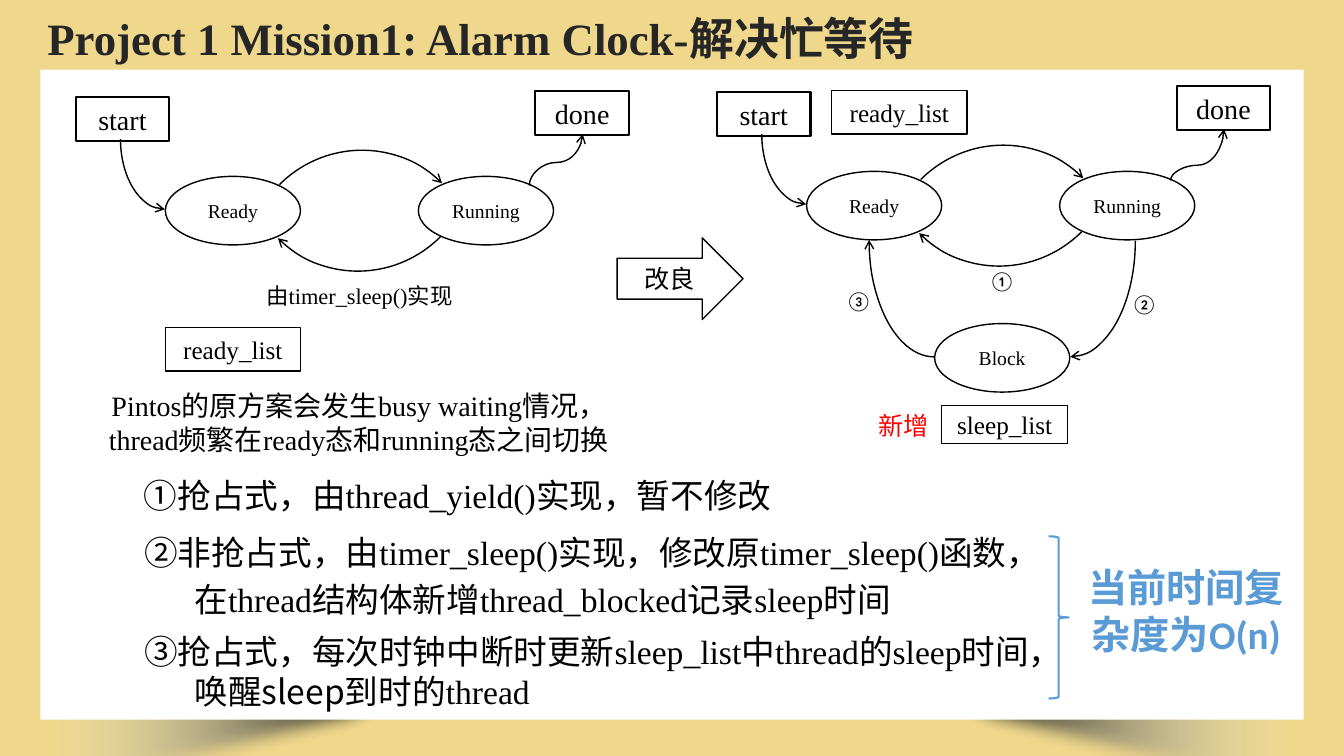
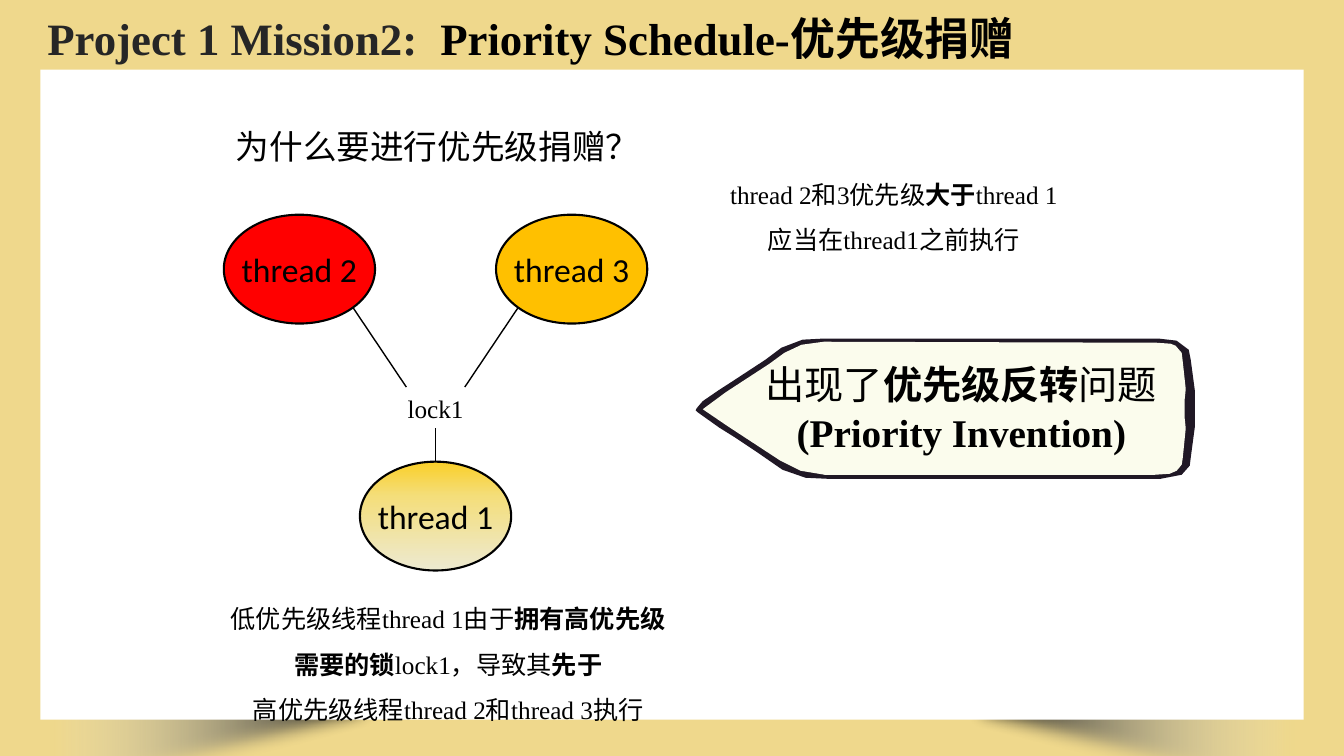
from lxml.etree import SubElement
from pptx import Presentation
from pptx.dml.color import RGBColor
from pptx.enum.shapes import MSO_CONNECTOR as Connector, MSO_SHAPE as Preset
from pptx.enum.text import MSO_ANCHOR as Anchor, MSO_AUTO_SIZE as AutoSize, PP_ALIGN as Align
from pptx.oxml.ns import qn
from pptx.util import Inches, Pt

COLORS = {
    "sand": "EFD88C", "white": "FFFFFF", "black": "000000", "mist": "E3E8EB",
    "title": "262626", "blue": "5B9BD5", "red": "FF0000", "amber": "FFC000",
    "ivory": "EDE9CE", "straw": "F4DE7B", "gold": "FACF28",
    "cream": "FBFCED", "ink": "201825",
}
LATIN, CJK = "Times New Roman", "Noto Sans CJK SC"
BOLD = {"bold": True}


def rgb(name):
    return RGBColor.from_string(COLORS[name])


def add_box(slide, preset, box, lines=(), size=18, color="black", font=LATIN, bold=False,
            align=Align.CENTER, spacing=None, fill=None, line=None, line_width=1):
    """Add a preset shape, or a text box if preset is None.

    Each line is a list of runs: a string, or a string with its font settings.
    """
    box = [Inches(length) for length in box]
    if preset is None:
        shape = slide.shapes.add_textbox(*box)
    else:
        shape = slide.shapes.add_shape(preset, *box)
        shape.shadow.inherit = False
        if fill:
            shape.fill.solid()
            shape.fill.fore_color.rgb = rgb(fill)
        else:
            shape.fill.background()
        if line:
            shape.line.color.rgb = rgb(line)
            shape.line.width = Pt(line_width)
        else:
            shape.line.fill.background()
    frame = shape.text_frame
    frame.word_wrap = True
    for index, runs in enumerate(lines):
        paragraph = frame.add_paragraph() if index else frame.paragraphs[0]
        paragraph.alignment = align
        if spacing:
            paragraph.line_spacing = spacing
        paragraph.font.size = Pt(size)
        paragraph.font.bold = bold
        paragraph.font.color.rgb = rgb(color)
        paragraph.font.name = font
        SubElement(paragraph.font._element, qn("a:ea"), typeface=CJK)
        for item in runs:
            text, settings = (item, {}) if isinstance(item, str) else item
            run = paragraph.add_run()
            run.text = text
            for name, value in settings.items():
                setattr(run.font, name, value)
    return shape


def set_gradient(shape, stops, angle):
    """Fill with stops of (percent, colour, opacity percent)."""
    shape.fill.gradient()
    shape.fill.gradient_angle = angle
    stop_list = next(shape._element.spPr.iter(qn("a:gsLst")))
    for stop in list(stop_list):
        stop_list.remove(stop)
    for percent, color, opacity in stops:
        stop = SubElement(stop_list, qn("a:gs"), pos=str(percent * 1000))
        value = SubElement(stop, qn("a:srgbClr"), val=COLORS[color])
        if opacity < 100:
            SubElement(value, qn("a:alpha"), val=str(opacity * 1000))


presentation = Presentation()
presentation.slide_width, presentation.slide_height = Inches(13.33), Inches(7.5)

# Shared look: background, title and a white card with curled shadows
background = presentation.slide_master.background.fill
background.solid()
background.fore_color.rgb = rgb("sand")
layout = presentation.slide_layouts[5]
clock_slide = presentation.slides.add_slide(layout)
priority_slide = presentation.slides.add_slide(layout)

card_parts = []
for left, rotation in [(9.26, 270), (0.07, 90)]:
    curl = add_box(clock_slide, Preset.TRAPEZOID, (left, 4.39, 4, 3.34))
    curl.rotation = rotation
    set_gradient(curl, [(0, "black", 100), (100, "mist", 0)], 270)
    effects = curl._element.spPr.find(qn("a:effectLst"))
    SubElement(effects, qn("a:softEdge"), rad=str(Pt(12.5)))
    card_parts.append(curl)
card_parts.append(add_box(clock_slide, Preset.RECTANGLE, (0.4, 0.69, 12.53, 6.45), fill="white"))
for part in card_parts:
    layout.shapes._spTree.append(part._element)

titles = [
    (clock_slide, [("Project 1 Mission1: Alarm Clock-解决忙等待", "title")]),
    (priority_slide, [("Project 1 Mission2:  ", "title"), ("Priority Schedule-优先级捐赠", "black")]),
]
for slide, runs in titles:
    title = slide.shapes.title
    title.left, title.top, title.width, title.height = [Inches(n) for n in (0.37, 0.06, 12.87, 1.24)]
    title.text_frame.vertical_anchor = Anchor.TOP
    title.text_frame.auto_size = AutoSize.NONE
    paragraph = title.text_frame.paragraphs[0]
    paragraph.alignment = Align.LEFT
    paragraph.font.size = Pt(32)
    paragraph.font.bold = True
    paragraph.font.name = LATIN
    SubElement(paragraph.font._element, qn("a:ea"), typeface=CJK)
    for text, color in runs:
        run = paragraph.add_run()
        run.text = text
        run.font.color.rgb = rgb(color)

# Slide 1: state diagrams before and after, sharing one arrangement
arcs = [  # box, rotation, flipped, arrow end
    ((9.97, 1.24, 1.29, 2.3), 0, True, "headEnd"),
    ((8.62, 1.22, 1.29, 2.32), 180, False, "tailEnd"),
]
for dx, dy, bend in [(0, 0, 44800), (6.36, -0.05, 29600)]:
    for text, left in [("Ready", 1.64), ("Running", 4.15)]:
        add_box(clock_slide, Preset.OVAL, (left + dx, 1.75 + dy, 1.34, 0.68), [[text]], 14, line="black")
    for text, left, top in [("start", 0.75, 0.96), ("done", 5.31, 0.9)]:
        add_box(clock_slide, Preset.RECTANGLE, (left + dx, top + dy, 0.93, 0.44), [[text]], 20,
                line="black", line_width=1.5)
    arcs += [
        ((2.44 + dx, 0.4 + dy, 2.26, 2.3), 45, True, "headEnd"),
        ((2.44 + dx, 1.48 + dy, 2.26, 2.3), 225, True, "headEnd"),
        ((0.94 + dx, 0.94 + dy, 1.39, 0.88), 90, True, "tailEnd"),
    ]
    finish = clock_slide.shapes.add_connector(
        Connector.CURVE, Inches(5.26 + dx), Inches(1.32 + dy), Inches(5.77 + dx), Inches(1.85 + dy))
    finish.line.color.rgb = rgb("black")
    finish.line.width = Pt(1)
    properties = finish._element.spPr
    properties.find(qn("a:xfrm")).set("rot", str(270 * 60000))
    SubElement(next(properties.iter(qn("a:avLst"))), qn("a:gd"), name="adj1", fmla=f"val {bend}")
    SubElement(finish.line._get_or_add_ln(), qn("a:tailEnd"), type="arrow")
    SubElement(properties, qn("a:effectLst"))

for box, rotation, flipped, arrow_end in arcs:
    arc = add_box(clock_slide, Preset.ARC, box, line="black")
    arc.rotation = rotation
    if flipped:
        arc._element.spPr.find(qn("a:xfrm")).set("flipV", "1")
    SubElement(arc.line._get_or_add_ln(), qn("a:" + arrow_end), type="arrow")

add_box(clock_slide, Preset.OVAL, (9.27, 3.21, 1.34, 0.68), [["Block"]], 14, line="black")
for text, box in [("ready_list", (1.64, 3.25, 1.34, 0.43)), ("ready_list", (8.25, 0.9, 1.34, 0.43)),
                  ("sleep_list", (9.34, 4.02, 1.25, 0.38))]:
    add_box(clock_slide, Preset.RECTANGLE, box, [[text]], line="black")
for number, left, top in [("①", 9.66, 2.62), ("②", 11.07, 2.85), ("③", 8.24, 2.82)]:
    add_box(clock_slide, None, (left, top, 0.56, 0.34), [[number]], 14, font="Calibri")
add_box(clock_slide, None, (8.56, 4.02, 0.8, 0.4), [["新增"]], color="red")
add_box(clock_slide, Preset.RIGHT_ARROW, (6.12, 2.36, 1.25, 0.81), [["改良"]], line="black")
add_box(clock_slide, None, (2.25, 2.75, 2.63, 0.37), [["由timer_sleep()实现"]], 16)
add_box(clock_slide, None, (0.74, 3.81, 5.64, 0.77),
        [["Pintos的原方案会发生busy waiting情况，"], ["thread频繁在ready态和running态之间切换"]], 20)

steps = [
    ((1.33, 4.66, 7.2, 0.5), None, ["①抢占式，由thread_yield()实现，暂不修改"]),
    ((1.33, 5.17, 8.99, 1.03), 1.15,
     ["②非抢占式，由timer_sleep()实现，修改原timer_sleep()函数，\t"
      "在thread结构体新增thread_blocked记录sleep时间"]),
    ((1.33, 6.21, 9.18, 0.91), None,
     ["③抢占式，每次时钟中断时更新sleep_list中thread的sleep时间，\t唤醒",
      ("sleep", {"name": CJK}), "到时的thread"]),
]
for box, spacing, runs in steps:
    add_box(clock_slide, None, box, [runs], 24, align=Align.LEFT, spacing=spacing)
add_box(clock_slide, Preset.RIGHT_BRACE, (10.4, 5.32, 0.2, 1.61), line="blue", line_width=1.5)
add_box(clock_slide, None, (10.54, 5.54, 2.45, 1.04), [["当前时间复杂度为O(n)"]], 28,
        color="blue", font="Calibri", bold=True)

# Slide 2: threads competing for a lock
add_box(priority_slide, None, (1.78, 1.2, 5.12, 0.5), [["为什么要进行优先级捐赠？"]], 24)
threads = {}
for text, left, top, fill in [("thread 1", 3.57, 4.58, None), ("thread 2", 2.22, 2.13, "red"),
                              ("thread 3", 4.92, 2.13, "amber")]:
    threads[text] = add_box(priority_slide, Preset.OVAL, (left, top, 1.5, 1.08), [[text]], 24,
                            font="Calibri", fill=fill, line="black", line_width=1.5)
    threads[text].text_frame.word_wrap = False
set_gradient(threads["thread 1"], [(2, "ivory", 100), (68, "straw", 100), (100, "gold", 100)], 90)

lock = add_box(priority_slide, None, (3.82, 3.85, 1, 0.4), [["lock1"]])
links = []
for ends in [(3.5, 3.05, 4.03, 3.84), (5.14, 3.05, 4.61, 3.84), (4.32, 4.25, 4.32, 4.58)]:
    link = priority_slide.shapes.add_connector(Connector.STRAIGHT, *[Inches(n) for n in ends])
    link.line.color.rgb = rgb("black")
    link.line.width = Pt(1)
    SubElement(link._element.spPr, qn("a:effectLst"))
    links.append(link)
links[-1].begin_connect(lock, 2)
links[-1].end_connect(threads["thread 1"], 0)

# Hand-drawn callout, in hundredths of an inch
callout_rim = [
    (815, 336), (1150, 336), (1167, 338), (1179, 347), (1181, 357), (1185, 387), (1185, 424),
    (1181, 454), (1180, 462), (1172, 471), (1151, 475), (821, 475), (799, 474), (776, 466),
    (750, 448), (729, 434), (713, 424), (692, 409), (690, 407), (691, 405), (697, 398),
    (713, 387), (727, 378), (759, 357), (775, 345), (796, 337),
]
callout_face = [
    (697, 406), (720, 389), (763, 361), (778, 350), (795, 342), (817, 339), (1147, 340),
    (1161, 341), (1166, 343), (1172, 350), (1173, 358), (1176, 386), (1175, 396), (1175, 415),
    (1176, 425), (1173, 455), (1172, 461), (1167, 467), (1160, 470), (1145, 471), (818, 471),
    (794, 467), (774, 457), (722, 423),
]
for points, fill in [(callout_rim, "ink"), (callout_face, "cream")]:
    builder = priority_slide.shapes.build_freeform(*points[0], scale=Inches(0.01))
    builder.add_line_segments(points[1:], close=True)
    outline = builder.convert_to_shape()
    outline.shadow.inherit = False
    outline.fill.solid()
    outline.fill.fore_color.rgb = rgb(fill)
    outline.line.fill.background()
add_box(priority_slide, None, (7.31, 3.53, 4.45, 1.04),
        [["出现了", ("优先级反转", BOLD), "问题", ("(Priority Invention)", BOLD)]], 28)

add_box(priority_slide, None, (7.14, 1.58, 3.45, 0.95),
        [["thread 2和3优先级", ("大于", BOLD), "thread 1"], ["应当在thread1之前执行"]], spacing=1.5)
add_box(priority_slide, None, (2.14, 5.79, 4.61, 1.41),
        [["低优先级线程thread 1由于", ("拥有高优先级需要的锁", BOLD), "lock1，导致其", ("先于", BOLD)],
         ["高优先级线程thread 2和thread 3执行"]], spacing=1.5)

presentation.save("out.pptx")
